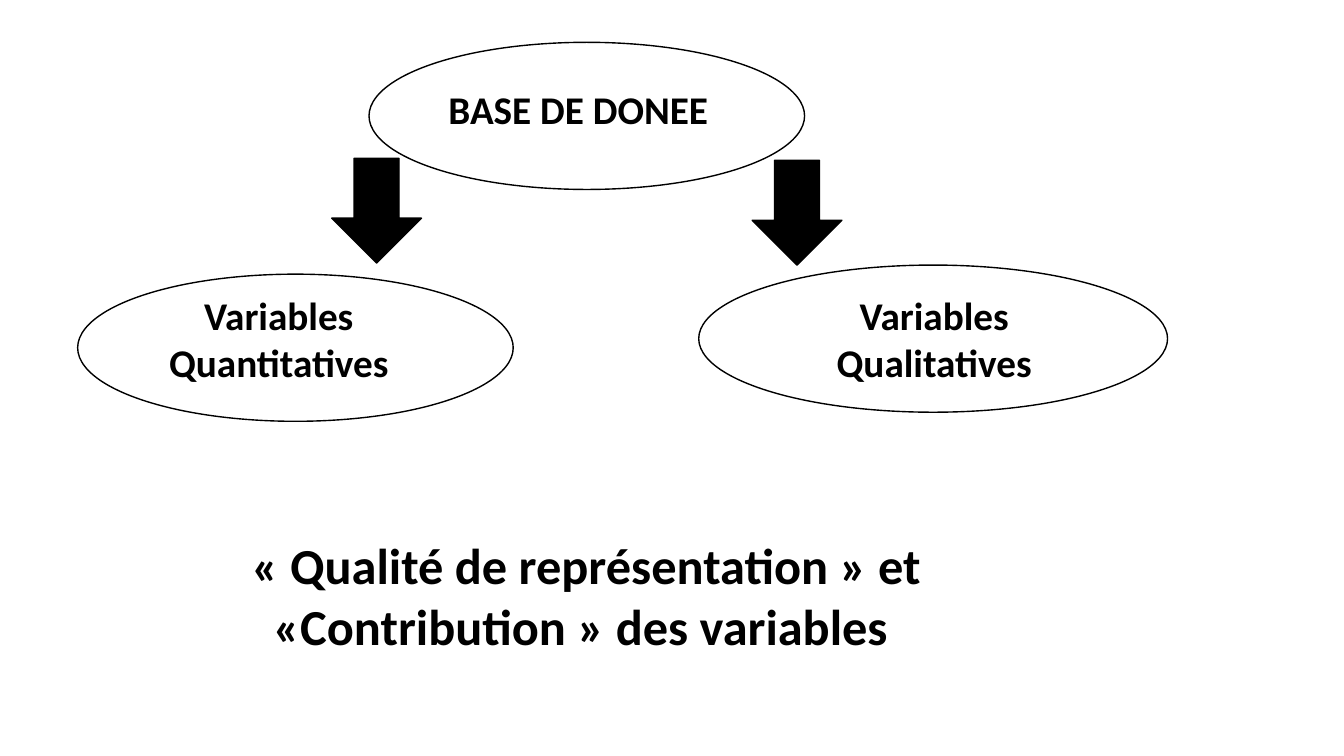
from pptx import Presentation
from pptx.dml.color import RGBColor
from pptx.enum.shapes import MSO_SHAPE as SHAPE
from pptx.enum.text import PP_ALIGN, MSO_ANCHOR
from pptx.util import Inches, Pt

COLORS = {"ink": "000000", "paper": "FFFFFF"}
FONT = "Calibri"
OVAL_H = 1.46
ARROW_W, ARROW_H = 0.89, 1.04

OVALS = [(3.66, 0.42, 4.32), (0.77, 2.72, 4.32), (6.93, 2.63, 4.65)]
ARROWS = [(3.29, 1.57), (7.46, 1.59)]
LABELS = [
    ("BASE DE DONEE", (4.18, 0.8, 3.11, 0.57)),
    ("Variables Quantitatives", (1.07, 2.84, 3.39, 1.04)),
    ("Variables Qualitatives", (7.57, 2.84, 3.39, 1.35)),
]
CONCLUSION = "« Qualité de représentation » et «Contribution » des variables "
CONCLUSION_BOX = (0.99, 5.25, 9.65, 1.31)


def add_figure(slide, kind, box, fill):
    s = slide.shapes.add_shape(kind, *map(Inches, box))
    s.shadow.inherit = False
    s.fill.solid()
    s.fill.fore_color.rgb = RGBColor.from_string(COLORS[fill])
    s.line.color.rgb = RGBColor.from_string(COLORS["ink"])
    s.line.width = Pt(1)


def add_text(slide, text, box, size=28, color="ink", bold=True, align=PP_ALIGN.CENTER):
    tf = slide.shapes.add_textbox(*map(Inches, box)).text_frame
    tf.word_wrap = True
    tf.vertical_anchor = MSO_ANCHOR.TOP
    p = tf.paragraphs[0]
    p.alignment = align
    r = p.add_run()
    r.text = text
    r.font.name = FONT
    r.font.size = Pt(size)
    r.font.bold = bold
    r.font.color.rgb = RGBColor.from_string(COLORS[color])


def main():
    prs = Presentation()
    prs.slide_width, prs.slide_height = Inches(13.33), Inches(7.5)
    slide = prs.slides.add_slide(prs.slide_layouts.get_by_name("Blank"))
    for x, y, w in OVALS:
        add_figure(slide, SHAPE.OVAL, (x, y, w, OVAL_H), "paper")
    for text, box in LABELS:
        add_text(slide, text, box)
    for x, y in ARROWS:
        add_figure(slide, SHAPE.DOWN_ARROW, (x, y, ARROW_W, ARROW_H), "ink")
    add_text(slide, CONCLUSION, CONCLUSION_BOX, size=36)
    prs.save("out.pptx")


if __name__ == "__main__":
    main()
